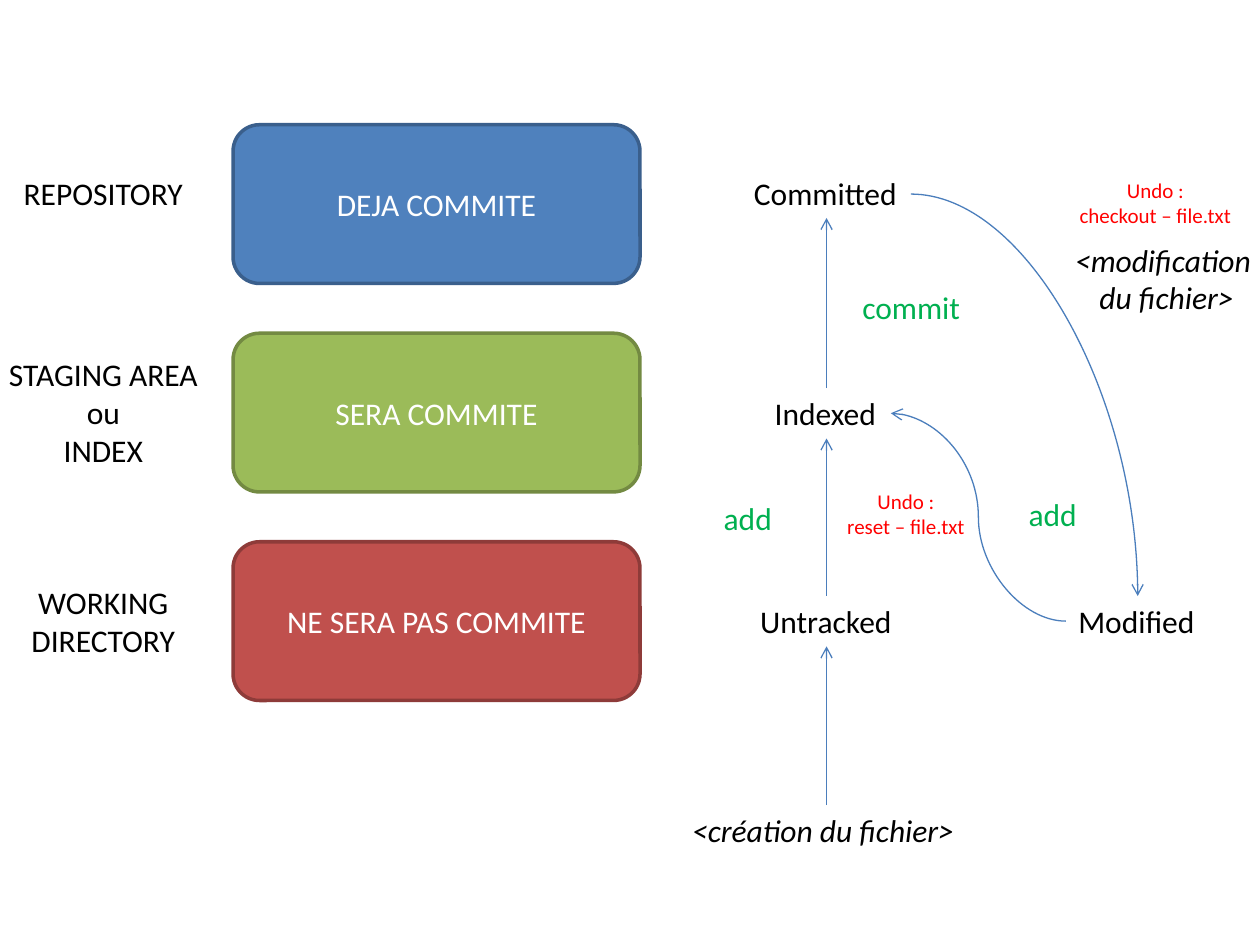
from lxml import etree
from pptx import Presentation
from pptx import util as u
from pptx.dml import color
from pptx.enum import shapes, text
from pptx.oxml import ns

HUES = {
    "blue": "4F81BD", "navy": "3A5F8C",
    "green": "9BBB59", "moss": "738A42",
    "red": "C0504D", "wine": "8E3B39",
    "arrow": "4B7EBC", "black": "000000", "white": "FFFFFF",
    "act": "00B050", "undo": "FF0000",
}


def rgb(name):
    return color.RGBColor.from_string(HUES[name])


def write(frame, words, size=18, hue="black", slant=None, align="CENTER"):
    frame.text = words
    for para in frame.paragraphs:
        para.alignment = getattr(text.PP_ALIGN, align)
        for run in para.runs:
            font = run.font
            font.name = "Calibri"
            font.size = u.Pt(size)
            font.italic = slant
            font.color.rgb = rgb(hue)


class Board:
    def __init__(self, slide):
        self.shapes = slide.shapes

    def block(self, words, left, top, width, height, fill, edge):
        shape = self.shapes.add_shape(
            shapes.MSO_SHAPE.ROUNDED_RECTANGLE,
            *map(u.Inches, (left, top, width, height)))
        shape.shadow.inherit = False
        shape.fill.solid()
        shape.fill.fore_color.rgb = rgb(fill)
        shape.line.color.rgb = rgb(edge)
        shape.line.width = u.Pt(2)
        shape.text_frame.vertical_anchor = text.MSO_ANCHOR.MIDDLE
        write(shape.text_frame, words, hue="white")

    def label(self, words, mid, top, width, height=0.4, **style):
        box = self.shapes.add_textbox(
            u.Inches(mid - width / 2), u.Inches(top),
            u.Inches(width), u.Inches(height))
        frame = box.text_frame
        frame.word_wrap = False
        frame.auto_size = text.MSO_AUTO_SIZE.SHAPE_TO_FIT_TEXT
        write(frame, words, **style)
        return box

    def arrow(self, start, end, kind="STRAIGHT"):
        link = self.shapes.add_connector(
            getattr(shapes.MSO_CONNECTOR, kind),
            *map(u.Inches, start + end))
        link.line.color.rgb = rgb("arrow")
        link.line.width = u.Pt(0.75)
        line = link.line._get_or_add_ln()
        etree.SubElement(line, ns.qn("a:tailEnd"), type="arrow")
        etree.SubElement(link._element.spPr, ns.qn("a:effectLst"))
        return link

    def rise(self, lower, upper):
        link = self.arrow((0, 0), (1, 1))
        link.begin_connect(lower, 0)
        link.end_connect(upper, 2)

    def bend(self, start, end):
        link = self.arrow(start, end, "CURVE")
        shape = link._element.spPr.find(ns.qn("a:prstGeom"))
        shape.set("prst", "curvedConnector2")


def main():
    deck = Presentation()
    deck.slide_width, deck.slide_height = u.Inches(10), u.Inches(7.5)
    board = Board(deck.slides.add_slide(deck.slide_layouts[6]))

    blocks = [
        ("DEJA COMMITE", "blue", "navy"),
        ("SERA COMMITE", "green", "moss"),
        ("NE SERA PAS COMMITE", "red", "wine"),
    ]
    for row, (words, fill, edge) in enumerate(blocks):
        board.block(words, 1.85, 0.99 + 1.655 * row, 3.23, 1.26, fill, edge)

    zones = [
        ("REPOSITORY", 1.33, 1.47, 0.4),
        ("STAGING AREA\nou\nINDEX", 2.77, 1.71, 1.01),
        ("WORKING\nDIRECTORY", 4.58, 1.35, 0.71),
    ]
    for words, top, width, height in zones:
        board.label(words, 0.82, top, width, height)

    axis = 6.56
    chain = [
        board.label("<création du fichier>", axis, 6.39, 2.33,
                    slant=True, align="LEFT"),
        board.label("Untracked", axis, 4.73, 1.25, align="LEFT"),
        board.label("Indexed", axis, 3.08, 1.02, align="LEFT"),
        board.label("Committed", axis, 1.33, 1.35, align="LEFT"),
    ]
    for lower, upper in zip(chain, chain[1:]):
        board.rise(lower, upper)

    board.label("Modified", 9.03, 4.73, 1.14, align="LEFT")
    board.bend((7.23, 1.54), (9.03, 4.73))
    board.arrow((8.46, 4.93), (7.07, 3.28), "CURVE")

    for words, mid, top, width in [
            ("add", 5.94, 3.91, 0.59),
            ("add", 8.36, 3.88, 0.59),
            ("commit", 7.24, 2.24, 0.99)]:
        board.label(words, mid, top, width, hue="act", align="LEFT")

    board.label("<modification\n du fichier>", 9.23, 1.86, 1.62, 0.71,
                slant=True)
    for words, mid, top, width in [
            ("Undo :\nreset – file.txt", 7.19, 3.83, 1.15),
            ("Undo :\ncheckout – file.txt", 9.17, 1.36, 1.42)]:
        board.label(words, mid, top, width, 0.5, size=12, hue="undo")

    deck.save("out.pptx")


if __name__ == "__main__":
    main()
